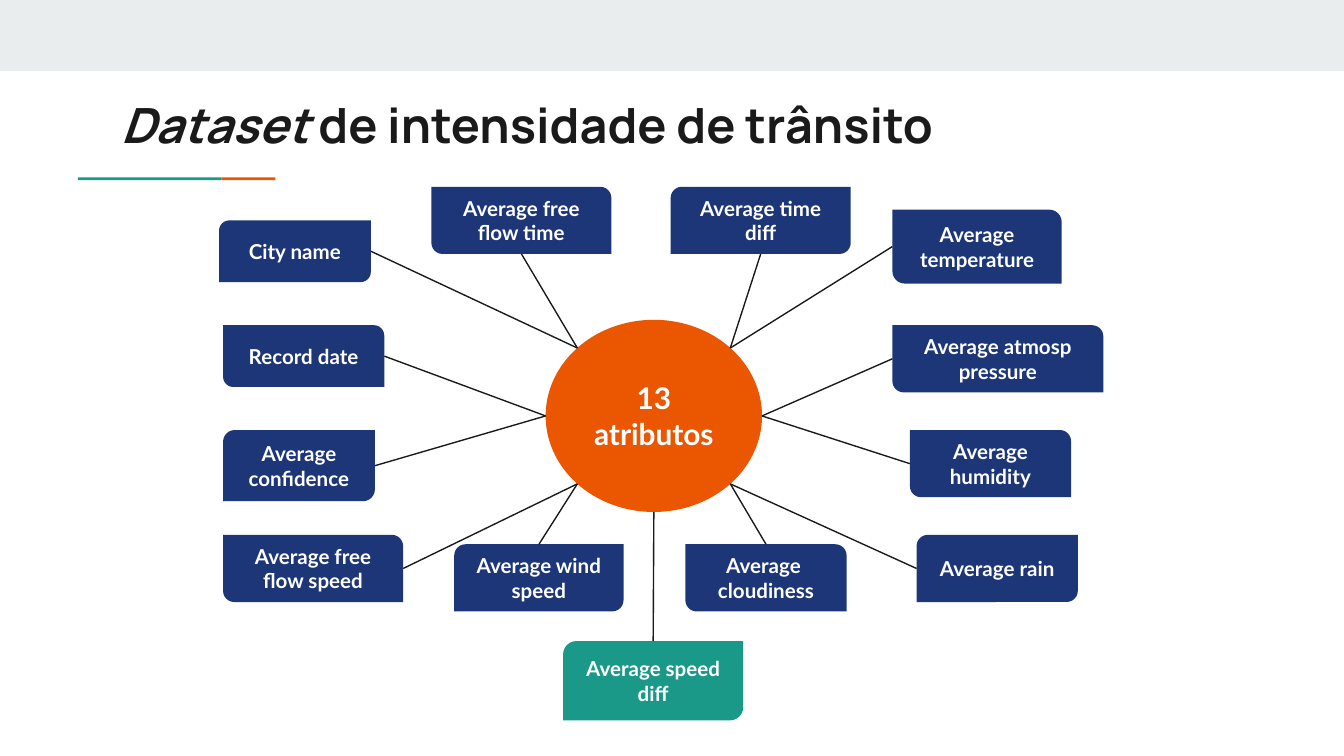
"""Build the slide that maps the thirteen attributes of the traffic dataset."""
from dataclasses import dataclass
from math import cos, radians, sin

from lxml import etree
from pptx import Presentation
from pptx.dml.color import RGBColor
from pptx.enum.shapes import MSO_CONNECTOR, MSO_SHAPE
from pptx.enum.text import MSO_ANCHOR, MSO_AUTO_SIZE, PP_ALIGN
from pptx.oxml.ns import qn
from pptx.util import Inches, Pt

STRAIGHT = MSO_CONNECTOR.STRAIGHT
RECT, OVAL, CARD = MSO_SHAPE.RECTANGLE, MSO_SHAPE.OVAL, MSO_SHAPE.ROUND_2_DIAG_RECTANGLE
TOP, MIDDLE = MSO_ANCHOR.TOP, MSO_ANCHOR.MIDDLE
NO_FIT = MSO_AUTO_SIZE.NONE
LEFT, CENTER = PP_ALIGN.LEFT, PP_ALIGN.CENTER


@dataclass(frozen=True)
class Theme:
    """Colours, fonts and type sizes."""
    ink: RGBColor = RGBColor.from_string("1A1A1A")
    white: RGBColor = RGBColor.from_string("FFFFFF")
    band: RGBColor = RGBColor.from_string("E9EDEE")
    orange: RGBColor = RGBColor.from_string("EB5600")
    teal: RGBColor = RGBColor.from_string("1A9988")
    navy: RGBColor = RGBColor.from_string("1C3678")
    heading: str = "Manrope"
    body: str = "Lato"
    title_size: int = 26
    hub_size: int = 16
    card_size: int = 11
    rule: float = 0.75


HUB = (4.06, 2.38, 1.61, 1.43)
SIDES = {"left": (0, 0.5), "right": (1, 0.5), "top": (0.5, 0), "bottom": (0.5, 1)}
MAIN, CROSS = (0.167, 0), (0, 0.167)

# text, box, rounded corners, side of the card, angle on the hub
CARDS = [
    ("City name", (1.63, 1.64, 1.13, 0.46), MAIN, "right", 225),
    ("Record date", (1.66, 2.42, 1.2, 0.46), CROSS, "right", 180),
    ("Average confidence", (1.66, 3.2, 1.13, 0.53), MAIN, "right", 180),
    ("Average free flow speed", (1.66, 3.98, 1.34, 0.5), CROSS, "right", 135),
    ("Average speed diff", (4.19, 4.77, 1.34, 0.59), MAIN, "top", 90),
    ("Average free flow time", (3.21, 1.39, 1.34, 0.5), CROSS, "bottom", 225),
    ("Average humidity", (6.77, 3.2, 1.2, 0.5), CROSS, "left", 0),
    ("Average temperature", (6.64, 1.56, 1.26, 0.55), CROSS, "left", 315),
    ("Average atmosp pressure", (6.64, 2.42, 1.57, 0.5), CROSS, "left", 0),
    ("Average time diff", (4.99, 1.39, 1.34, 0.5), MAIN, "bottom", 315),
    ("Average wind speed", (3.38, 4.05, 1.26, 0.5), MAIN, "top", 135),
    ("Average rain", (6.82, 3.98, 1.2, 0.5), MAIN, "left", 45),
    ("Average \ncloudiness", (5.1, 4.05, 1.2, 0.5), CROSS, "top", 45),
]


class Deck:
    """Holds the theme and the current slide."""

    def __init__(self, prs, theme):
        """Add a title-only slide."""
        self.theme = theme
        self.s = prs.slides.add_slide(prs.slide_layouts[5])

    def apply(self, target, values):
        """Set attributes from a dict."""
        for name, value in values.items():
            setattr(target, name, value)

    def frame(self, tf, anchor):
        """Set wrapping, margins and anchor of a text frame."""
        margins = {f"margin_{side}": Inches(0.1) for side in SIDES}
        self.apply(tf, {"word_wrap": True, "auto_size": NO_FIT,
                        "vertical_anchor": anchor, **margins})

    def run(self, p, text, font, size, color, italic=False):
        """Add a bold run to a paragraph."""
        r = p.add_run()
        r.text = text
        self.apply(r.font, {"name": font, "size": Pt(size), "bold": True, "italic": italic})
        r.font.color.rgb = color

    def title(self, box, parts):
        """Place the title, given as pairs of text and italic."""
        t, sp = self.theme, self.s.shapes.title
        self.apply(sp, dict(zip(("left", "top", "width", "height"), map(Inches, box))))
        self.frame(sp.text_frame, TOP)
        p = sp.text_frame.paragraphs[0]
        p.alignment = LEFT
        for text, italic in parts:
            self.run(p, text, t.heading, t.title_size, t.ink, italic)

    def shape(self, kind, box, color):
        """Add a plain filled shape."""
        sp = self.s.shapes.add_shape(kind, *map(Inches, box))
        sp.shadow.inherit = False
        sp.fill.solid()
        sp.fill.fore_color.rgb = color
        sp.line.fill.background()
        return sp

    def label(self, kind, box, color, text, size):
        """Add a filled shape with centred text."""
        sp = self.shape(kind, box, color)
        tf = sp.text_frame
        self.frame(tf, MIDDLE)
        for i, line in enumerate(text.split("\n")):
            p = tf.add_paragraph() if i else tf.paragraphs[0]
            p.alignment = CENTER
            self.run(p, line, self.theme.body, size, self.theme.white)
        return sp

    def card(self, text, box, corners, color):
        """Add an attribute card with two rounded corners."""
        sp = self.label(CARD, box, color, text, self.theme.card_size)
        for i, value in enumerate(corners):
            sp.adjustments[i] = value

    def line(self, start, end):
        """Add a thin straight line."""
        cx = self.s.shapes.add_connector(STRAIGHT, *map(Inches, (*start, *end)))
        cx.line.color.rgb = self.theme.ink
        cx.line.width = Pt(self.theme.rule)
        etree.SubElement(cx._element.spPr, qn("a:effectLst"))


def side_point(box, side):
    """Return the middle of one side of a box."""
    x, y, w, h = box
    fx, fy = SIDES[side]
    return x + w * fx, y + h * fy


def hub_point(angle):
    """Return the point of the hub at a clockwise angle."""
    x, y, w, h = HUB
    a = radians(angle)
    return x + w / 2 * (1 + cos(a)), y + h / 2 * (1 + sin(a))


def main():
    """Build and save the slide."""
    prs = Presentation()
    prs.slide_width, prs.slide_height = Inches(10), Inches(10 * 9 / 16)
    theme = Theme()
    deck = Deck(prs, theme)
    deck.shape(RECT, (0, 0, 10, 0.53), theme.band)
    deck.shape(RECT, (0.58, 1.32, 1.07, 0.02), theme.teal)
    deck.shape(RECT, (1.65, 1.32, 0.4, 0.02), theme.orange)
    deck.title((0.8, 0.61, 8.41, 0.59),
               [("Dataset ", True), ("de intensidade de trânsito", False)])
    deck.label(OVAL, HUB, theme.orange, "13 atributos", theme.hub_size)
    for text, box, corners, side, angle in CARDS:
        deck.card(text, box, corners, theme.teal if angle == 90 else theme.navy)
        deck.line(side_point(box, side), hub_point(angle))
    prs.save("out.pptx")


if __name__ == "__main__":
    main()
